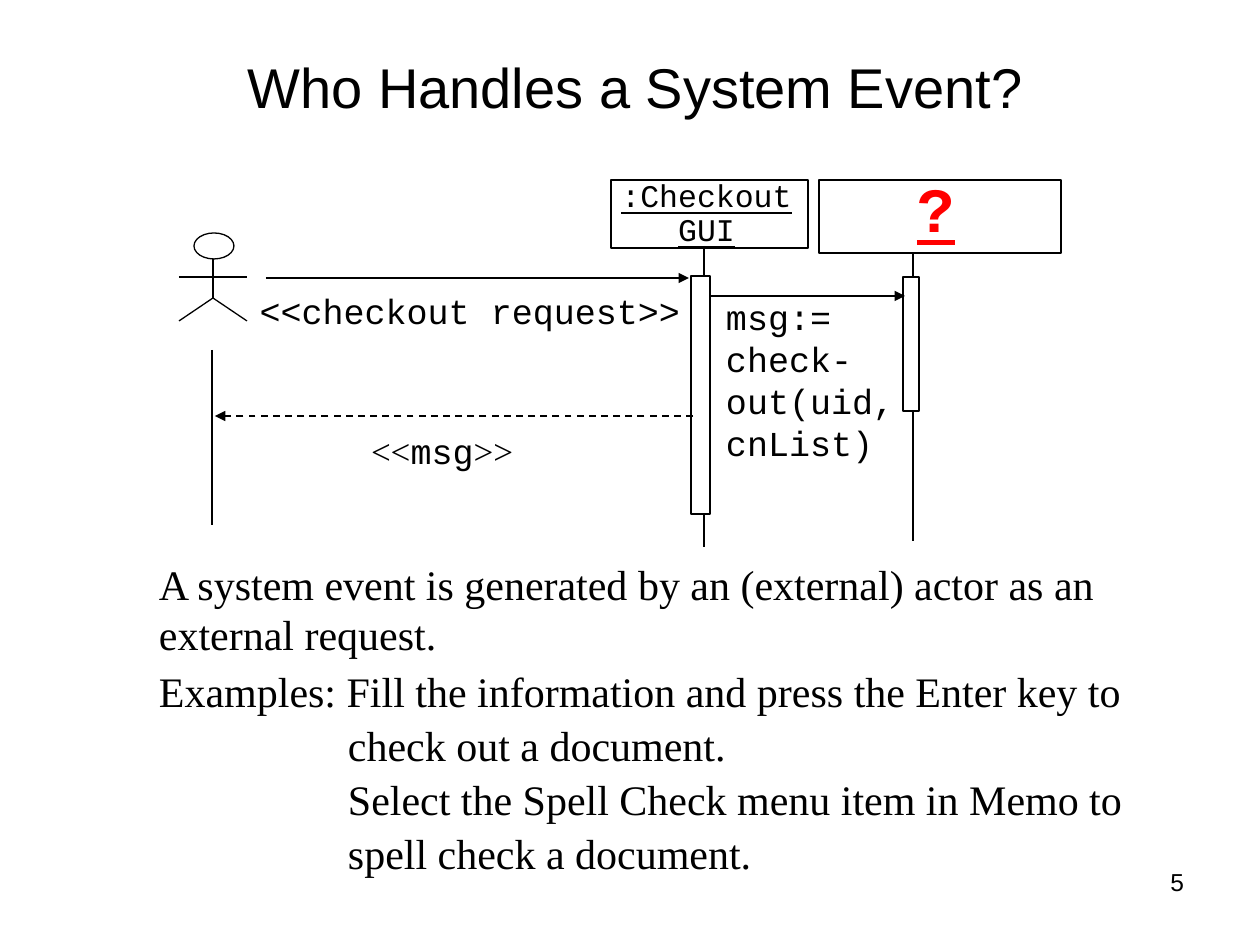
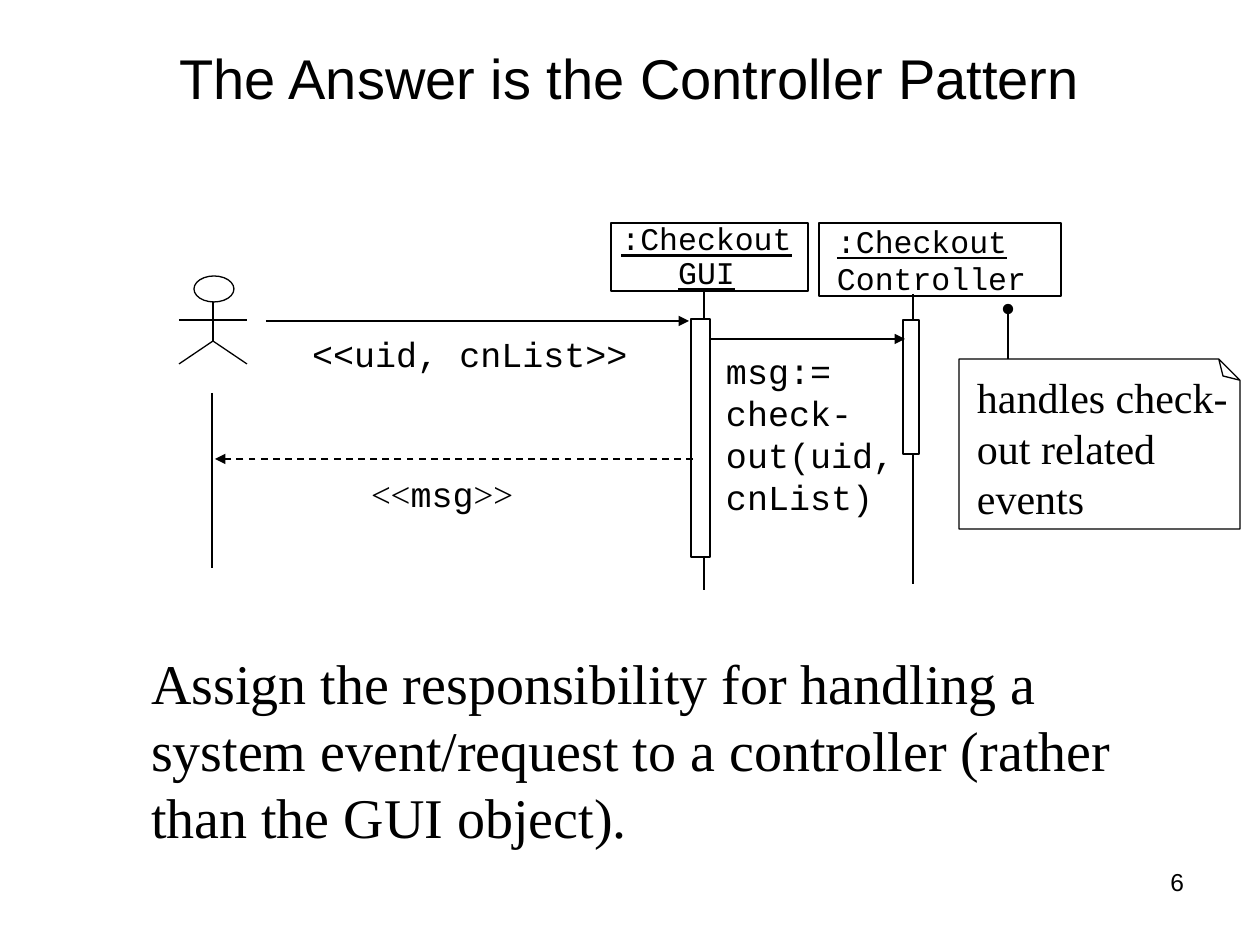
from lxml.etree import SubElement
from pptx import Presentation
from pptx.dml.color import RGBColor
from pptx.enum.dml import MSO_LINE
from pptx.enum.shapes import MSO_CONNECTOR as CONN, MSO_SHAPE as SHAPE
from pptx.enum.text import MSO_ANCHOR as ANCHOR, MSO_AUTO_SIZE as FIT, PP_ALIGN as ALIGN
from pptx.oxml.ns import qn
from pptx.util import Emu, Pt

SCALE = 914400 / 126
BLACK, WHITE, RED = "000000", "FFFFFF", "FF0000"
SANS, MONO, SERIF = "Arial", "Courier New", "Times New Roman"
LEADING = 1.2
INSETS = (13, 6, 13, 6)
NONE = (0, 0, 0, 0)


def px(n):
    """Turn px into EMU."""
    return Emu(round(n * SCALE))


def rgb(color):
    """Turn a hex string into a colour."""
    return RGBColor.from_string(color)


def place(sp, box):
    """Move a shape to a left, top, width, height box."""
    sp.left, sp.top, sp.width, sp.height = map(px, box)


def setup(tf, insets, wrap=True, anchor=ANCHOR.TOP):
    """Set the frame options of a text."""
    tf.auto_size = FIT.NONE
    tf.word_wrap = wrap
    tf.vertical_anchor = anchor
    tf.margin_left, tf.margin_top, tf.margin_right, tf.margin_bottom = map(px, insets)


def write(tf, paras, size, font=MONO, align=ALIGN.LEFT, color=BLACK,
          spacing=1, underline=None, bold=None):
    """Write paragraphs, each a string or a list of (text, font) runs."""
    for i, runs in enumerate(paras):
        p = tf.add_paragraph() if i else tf.paragraphs[0]
        p.alignment = align
        p.line_spacing = Pt(size * LEADING * spacing)
        p.space_before = Pt(0)
        for text, face in [(runs, font)] if isinstance(runs, str) else runs:
            r = p.add_run()
            r.text = text
            f = r.font
            f.name, f.size, f.underline, f.bold = face, Pt(size), underline, bold
            f.color.rgb = rgb(color)


def add_text(shapes, box, paras, size, insets=INSETS, wrap=True, **style):
    """Add a text box."""
    sp = shapes.add_textbox(*map(px, box))
    setup(sp.text_frame, insets, wrap)
    write(sp.text_frame, paras, size, **style)


def add_shape(shapes, kind, box, fill=None, width=0.75):
    """Add an outlined preset shape."""
    sp = shapes.add_shape(kind, *map(px, box))
    sp.shadow.inherit = False
    if fill:
        sp.fill.solid()
        sp.fill.fore_color.rgb = rgb(fill)
    else:
        sp.fill.background()
    sp.line.color.rgb = rgb(BLACK)
    sp.line.width = Pt(width)
    return sp


def add_line(shapes, x1, y1, x2, y2, width=0.75, dash=False, head=None, tail=None):
    """Add a straight line, with ends if they are named."""
    sp = shapes.add_connector(CONN.STRAIGHT, *map(px, (x1, y1, x2, y2)))
    sp.line.color.rgb = rgb(BLACK)
    sp.line.width = Pt(width)
    if dash:
        sp.line.dash_style = MSO_LINE.DASH
    ln = sp.line._get_or_add_ln()
    for tag, end in (("a:headEnd", head), ("a:tailEnd", tail)):
        if end:
            SubElement(ln, qn(tag), type=end)
    SubElement(sp._element.spPr, qn("a:effectLst"))


def add_actor(slide, x, y):
    """Draw the stick figure of the actor."""
    shapes = slide.shapes.add_group_shape().shapes
    add_shape(shapes, SHAPE.OVAL, (x + 15, y, 40, 26))
    hip = (x + 34, y + 65)
    add_line(shapes, x + 34, y + 26, *hip)
    for foot in (x + 68, x):
        add_line(shapes, *hip, foot, y + 88)
    add_line(shapes, x, y + 44, x + 68, y + 44)


def add_head(slide, box, paras, size, insets, width=0.75, fill=None, wrap=True, **style):
    """Draw the box that names an object."""
    sp = add_shape(slide.shapes, SHAPE.RECTANGLE, box, fill, width)
    setup(sp.text_frame, insets, wrap, ANCHOR.MIDDLE)
    write(sp.text_frame, paras, size, underline=True, **style)


def add_lifeline(slide, x, top, bottom, bar):
    """Draw a lifeline and its activation bar."""
    add_line(slide.shapes, x, top, x, bottom)
    add_shape(slide.shapes, SHAPE.RECTANGLE, bar, WHITE)


def add_sequence(slide, x, y, request, call_top, handler):
    """Draw the sequence diagram from its top left corner."""
    shapes = slide.shapes
    add_actor(slide, x, y + 53)
    add_line(shapes, x + 33, y + 170, x + 33, y + 345)
    add_head(slide, (x + 432, y, 197, 68), [":Checkout", "GUI"], 18, (0, 0, 6, 0),
             align=ALIGN.CENTER, spacing=0.9, wrap=False)
    add_lifeline(slide, x + 734, y + 71, y + 361, (x + 724, y + 97, 16, 134))
    add_lifeline(slide, x + 525, y + 66, y + 367, (x + 512, y + 96, 19, 238))
    add_head(slide, (x + 640, y, 242, 73), width=1, **handler)
    for start, end, level in ((87, 510, 98), (532, 726, 116)):
        add_line(shapes, x + start, y + level, x + end, y + level, 1.5, tail="triangle")
    add_line(shapes, x + 514, y + 236, x + 36, y + 236, 1, dash=True, tail="triangle")
    add_text(shapes, (x + 54, y + 103, 474, 55), [request], 20, align=ALIGN.CENTER)
    add_text(shapes, (x + 179, y + 243, 168, 55),
             [[("<<", SERIF), ("msg", MONO), (">>", SERIF)]], 20, wrap=False)
    add_text(shapes, (x + 534, y + call_top, 193, 181),
             ["msg:=", "check-", "out(uid,", "cnList)"], 20, wrap=False)


def add_note(slide, x, y):
    """Draw the note with its pin."""
    shapes = slide.shapes
    sp = add_shape(shapes, SHAPE.RECTANGLE, (x, y, 281, 170))
    spPr = sp._element.spPr
    spPr.find(qn("a:xfrm")).set("flipV", "1")
    geom = spPr.find(qn("a:prstGeom"))
    geom.set("prst", "foldedCorner")
    SubElement(geom.find(qn("a:avLst")), qn("a:gd"), name="adj", fmla="val 12500")
    add_text(shapes, (x + 18, y + 13, 251, 151),
             ["handles check-", "out related", "events"], 24, NONE, wrap=False, font=SERIF)
    add_line(shapes, x + 49, y - 50, x + 49, y, head="oval")


def add_slide(prs, title, title_box, number):
    """Add a slide with its title and number."""
    slide = prs.slides.add_slide(prs.slide_layouts[1])
    sp = slide.shapes.title
    place(sp, title_box)
    setup(sp.text_frame, INSETS, anchor=ANCHOR.MIDDLE)
    write(sp.text_frame, [title], 32, font=SANS, align=ALIGN.CENTER)
    add_text(slide.shapes, (903, 861, 294, 66), [number], 14, font=SANS, align=ALIGN.RIGHT)
    return slide


def fill_body(slide, box, paras, size):
    """Write plain paragraphs without bullets into the body."""
    sp = slide.placeholders[1]
    place(sp, box)
    tf = sp.text_frame
    setup(tf, NONE)
    write(tf, paras, size, font=SERIF)
    for p in tf.paragraphs:
        pPr = p._p.get_or_add_pPr()
        pPr.set("marL", "0")
        pPr.set("indent", "0")
        SubElement(pPr, qn("a:buNone"))
    return tf


def build_question(prs):
    """Build the slide that asks for the handler."""
    slide = add_slide(prs, "Who Handles a System Event?", (100, 34, 1071, 105), "5")
    add_sequence(slide, 179, 180, "<<checkout request>>", 109,
                 dict(paras=["?"], size=36, insets=(98, 0, 0, 18), fill=WHITE,
                      color=RED, bold=True))
    tf = fill_body(slide, (159, 558, 1005, 316), [
        "A system event is generated by an (external) actor as an external request.",
        "Examples: Fill the information and press the Enter key to",
        "check out a document.",
        "Select the Spell Check menu item in Memo to",
        "spell check a document."], 24)
    for i, p in enumerate(tf.paragraphs[1:]):
        p.line_spacing = Pt(15.84)
        p.space_before = Pt(15 if i else 17)
        if i:
            p._p.get_or_add_pPr().set("marL", str(px(189)))


def build_answer(prs):
    """Build the slide that names the controller."""
    slide = add_slide(prs, "The Answer is the Controller Pattern", (63, 38, 1134, 78), "6")
    add_sequence(slide, 179, 223, "<<uid, cnList>>", 120,
                 dict(paras=[":Checkout Controller"], size=18, insets=(18, 0, 0, 0)))
    add_note(slide, 959, 359)
    fill_body(slide, (151, 648, 980, 202), [
        "Assign the responsibility for handling a system event/request to a controller "
        "(rather than the GUI object)."], 32)


def main():
    """Build and save the slides."""
    prs = Presentation()
    prs.slide_width, prs.slide_height = px(1260), px(945)
    build_question(prs)
    build_answer(prs)
    prs.save("out.pptx")


if __name__ == "__main__":
    main()
